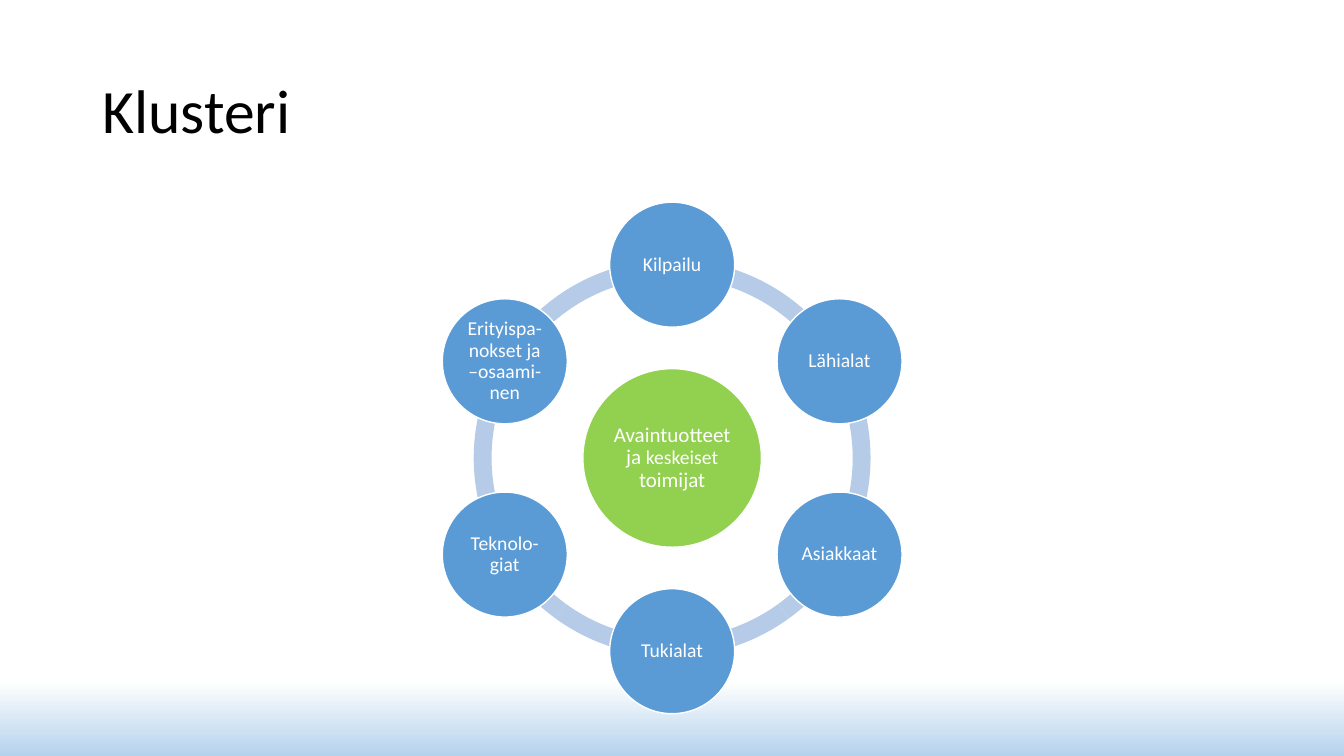
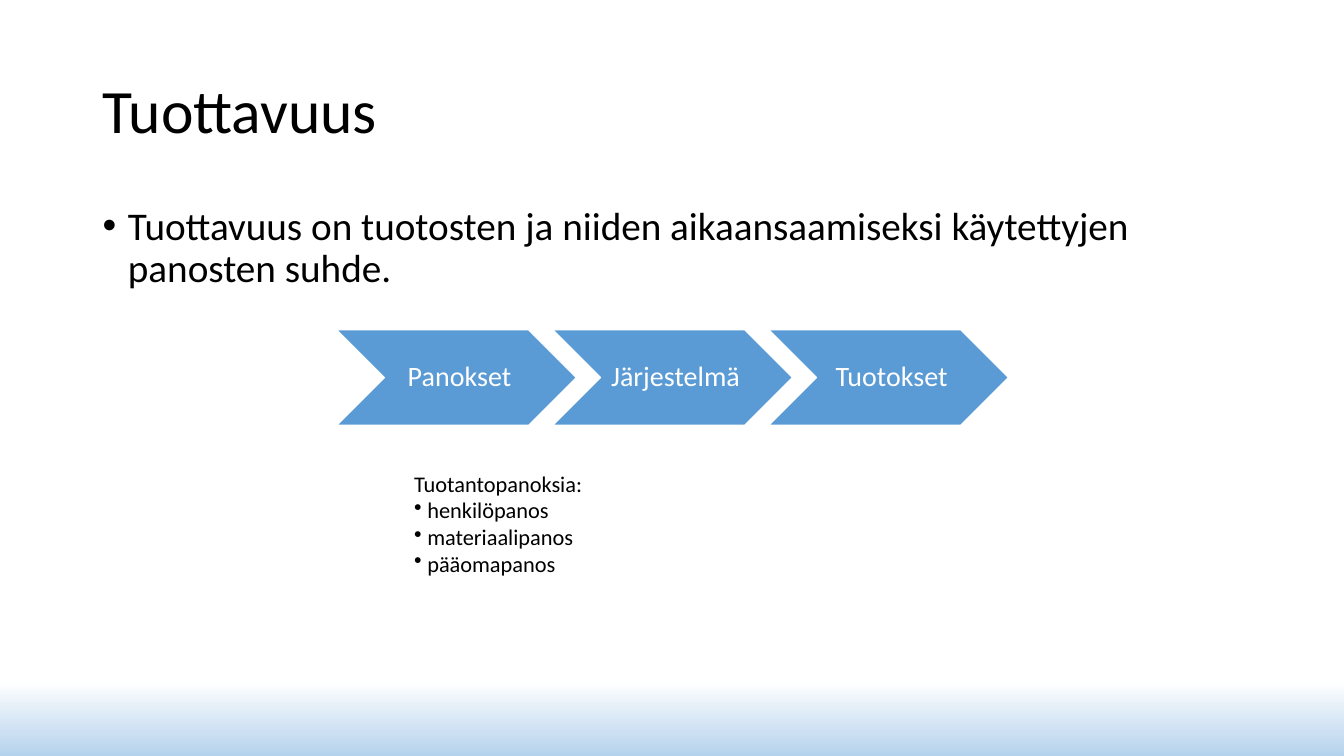
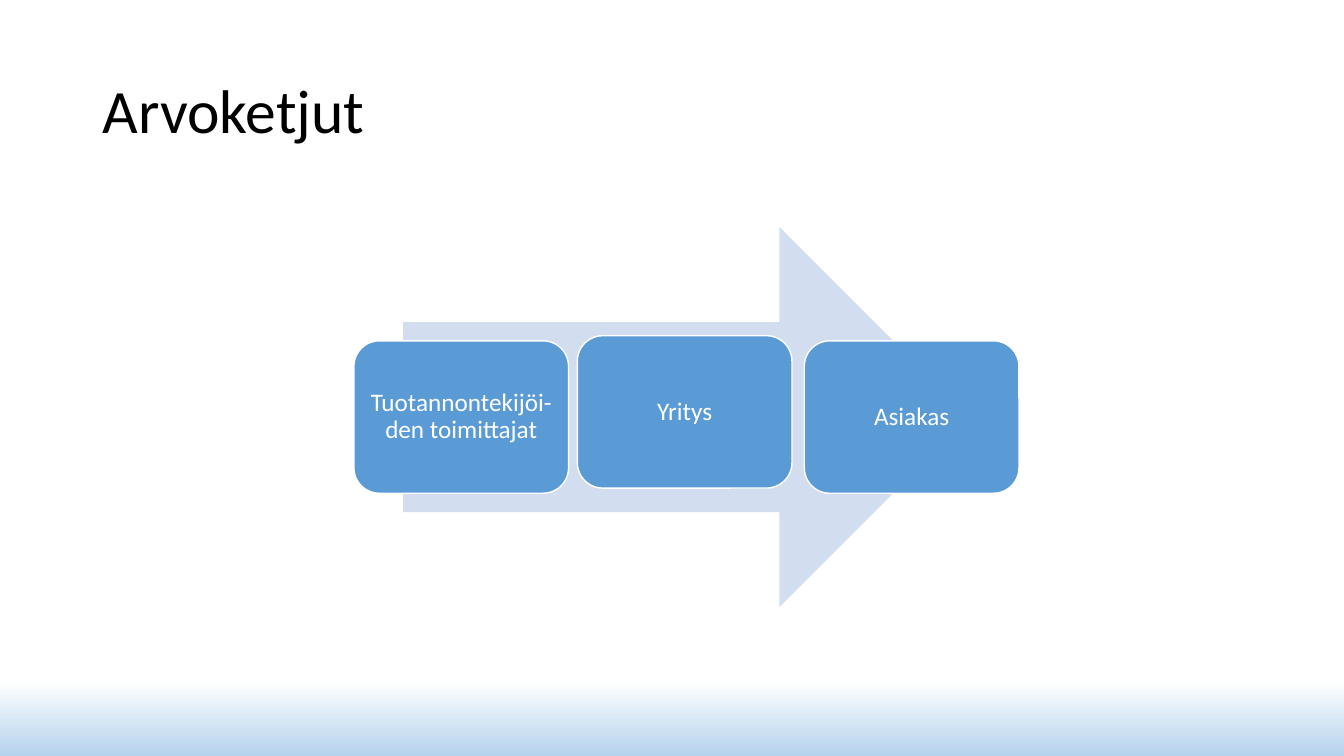
from math import cos, radians, sin

from lxml import etree
from pptx import Presentation
from pptx.dml.color import RGBColor
from pptx.enum.shapes import MSO_SHAPE
from pptx.enum.text import MSO_ANCHOR, MSO_AUTO_SIZE, PP_ALIGN
from pptx.oxml.ns import qn
from pptx.util import Cm, Pt

FONT = "Calibri"
COLORS = {
    "text": "000000",
    "white": "FFFFFF",
    "blue": "5B9BD5",
    "green": "92D050",
    "ring": "B5CBE7",
    "arrow": "D2DEEF",
    "glow": "B5D2EC",
}
TITLE_ONLY, TITLE_AND_BODY = 5, 1


def rgb(name):
    return RGBColor.from_string(COLORS[name])


def add_run(p, text, size=14, color="text"):
    r = p.add_run()
    r.text = text
    r.font.name = FONT
    r.font.size = Pt(size)
    r.font.color.rgb = rgb(color)
    return r


def set_bullet(p, indent):
    """Give a paragraph a round bullet and a hanging indent in cm."""
    pPr = p._p.get_or_add_pPr()
    pPr.set("marL", str(Cm(indent)))
    pPr.set("indent", str(-Cm(indent)))
    etree.SubElement(pPr, qn("a:buChar")).set("char", "•")


class Deck:
    """Holds the shared style and the current slide; lengths are in cm."""

    def __init__(self):
        self.prs = Presentation()
        self.prs.slide_width, self.prs.slide_height = Cm(33.87), Cm(19.05)
        self.s = None
        # White background that turns blue along the bottom edge
        fill = self.prs.slide_master.background.fill
        fill.gradient()
        fill.gradient_angle = 270
        stops = ((0.9, "white"), (1, "glow"))
        for stop, (position, color) in zip(fill.gradient_stops, stops):
            stop.position = position
            stop.color.rgb = rgb(color)

    def place(self, sp, x, y, w, h):
        sp.left, sp.top, sp.width, sp.height = Cm(x), Cm(y), Cm(w), Cm(h)

    def slide(self, title, layout=TITLE_ONLY):
        self.s = self.prs.slides.add_slide(self.prs.slide_layouts[layout])
        sp = self.s.shapes.title
        self.place(sp, 2.33, 1.02, 29.21, 3.68)
        sp.text_frame.vertical_anchor = MSO_ANCHOR.MIDDLE
        p = sp.text_frame.paragraphs[0]
        p.alignment, p.line_spacing = PP_ALIGN.LEFT, 0.9
        add_run(p, title, size=44)

    def body(self, text):
        sp = self.s.placeholders[1]
        self.place(sp, 2.33, 5.07, 29.21, 12.09)
        p = sp.text_frame.paragraphs[0]
        p.line_spacing, p.space_before = 0.9, Pt(10)
        set_bullet(p, 0.64)
        add_run(p, text, size=28)

    def shape(self, kind, x, y, w, h, fill="blue", line="white"):
        sp = self.s.shapes.add_shape(kind, Cm(x), Cm(y), Cm(w), Cm(h))
        sp.shadow.inherit = False
        sp.fill.solid()
        sp.fill.fore_color.rgb = rgb(fill)
        if line:
            sp.line.color.rgb = rgb(line)
            sp.line.width = Pt(1)
        else:
            sp.line.fill.background()
        return sp

    def label(self, sp, *runs, inset=0.05, left=None):
        """Centre (text, size) runs in white inside a shape."""
        tf = sp.text_frame
        tf.word_wrap = True
        tf.vertical_anchor = MSO_ANCHOR.MIDDLE
        tf.margin_left = Cm(inset if left is None else left)
        tf.margin_right = tf.margin_top = tf.margin_bottom = Cm(inset)
        p = tf.paragraphs[0]
        p.alignment, p.line_spacing = PP_ALIGN.CENTER, 0.9
        for text, size in runs:
            add_run(p, text, size=size, color="white")

    def circle(self, cx, cy, d, *runs, fill="blue"):
        sp = self.shape(MSO_SHAPE.OVAL, cx - d / 2, cy - d / 2, d, d, fill)
        self.label(sp, *runs)

    def arc(self, cx, cy, d, start, end):
        sp = self.shape(MSO_SHAPE.BLOCK_ARC, cx - d / 2, cy - d / 2, d, d,
                        "ring", line=None)
        # Angle adjustments count 0.6 per degree
        for i, value in enumerate((start * 0.6, end * 0.6, 0.045)):
            sp.adjustments[i] = value

    def note(self, x, y, w, h, heading, items):
        tf = self.s.shapes.add_textbox(Cm(x), Cm(y), Cm(w), Cm(h)).text_frame
        tf.word_wrap = True
        tf.auto_size = MSO_AUTO_SIZE.SHAPE_TO_FIT_TEXT
        add_run(tf.paragraphs[0], heading, size=16)
        for item in items:
            p = tf.add_paragraph()
            set_bullet(p, 0.33)
            add_run(p, item, size=16)


def cluster_slide(deck):
    deck.slide("Klusteri")
    cx, cy, radius = 16.94, 11.54, 4.87
    # Ring
    angles = (18, 54, 90, 126, 162, 198, 18)
    for start, end in zip(angles, angles[1:]):
        deck.arc(cx, cy, 10, start, end)
    # Hub
    deck.circle(cx, cy, 4.5, ("Avaintuotteet ja ", 15), ("keskeiset", 14),
                (" toimijat", 15), fill="green")
    # Satellites, clockwise from the top
    names = ("Kilpailu", "Lähialat", "Asiakkaat", "Tukialat",
             "Teknolo-giat", "Erityispa-nokset ja –osaami-nen")
    for i, name in enumerate(names):
        a = radians(360 / len(names) * i - 90)
        deck.circle(cx + radius * cos(a), cy + radius * sin(a), 3.15,
                    (name, 14))


def productivity_slide(deck):
    deck.slide("Tuottavuus", TITLE_AND_BODY)
    deck.body("Tuottavuus on tuotosten ja niiden aikaansaamiseksi "
              "käytettyjen panosten suhde.")
    # Process steps, each overlapping the last by a tenth
    w = 6.05
    for i, name in enumerate(("Panokset", "Järjestelmä", "Tuotokset")):
        sp = deck.shape(MSO_SHAPE.CHEVRON, 8.48 + i * 0.9 * w, 8.31, w, 2.41)
        deck.label(sp, (name, 20), inset=0.07, left=0.22)
    deck.note(10.19, 11.71, 6.35, 3, "Tuotantopanoksia:",
              ("henkilöpanos", "materiaalipanos", "pääomapanos"))


def value_chain_slide(deck):
    deck.slide("Arvoketjut")
    deck.shape(MSO_SHAPE.RIGHT_ARROW, 10.16, 5.72, 14.27, 9.58,
               "arrow", line=None)
    # Links of the chain
    links = ((8.92, 8.59, "Tuotannontekijöi-den toimittajat"),
             (14.55, 8.46, "Yritys"),
             (20.27, 8.59, "Asiakas"))
    for x, y, name in links:
        sp = deck.shape(MSO_SHAPE.ROUNDED_RECTANGLE, x, y, 5.41, 3.84)
        deck.label(sp, (name, 18), inset=0.18)


def main():
    deck = Deck()
    cluster_slide(deck)
    productivity_slide(deck)
    value_chain_slide(deck)
    deck.prs.save("out.pptx")


if __name__ == "__main__":
    main()
